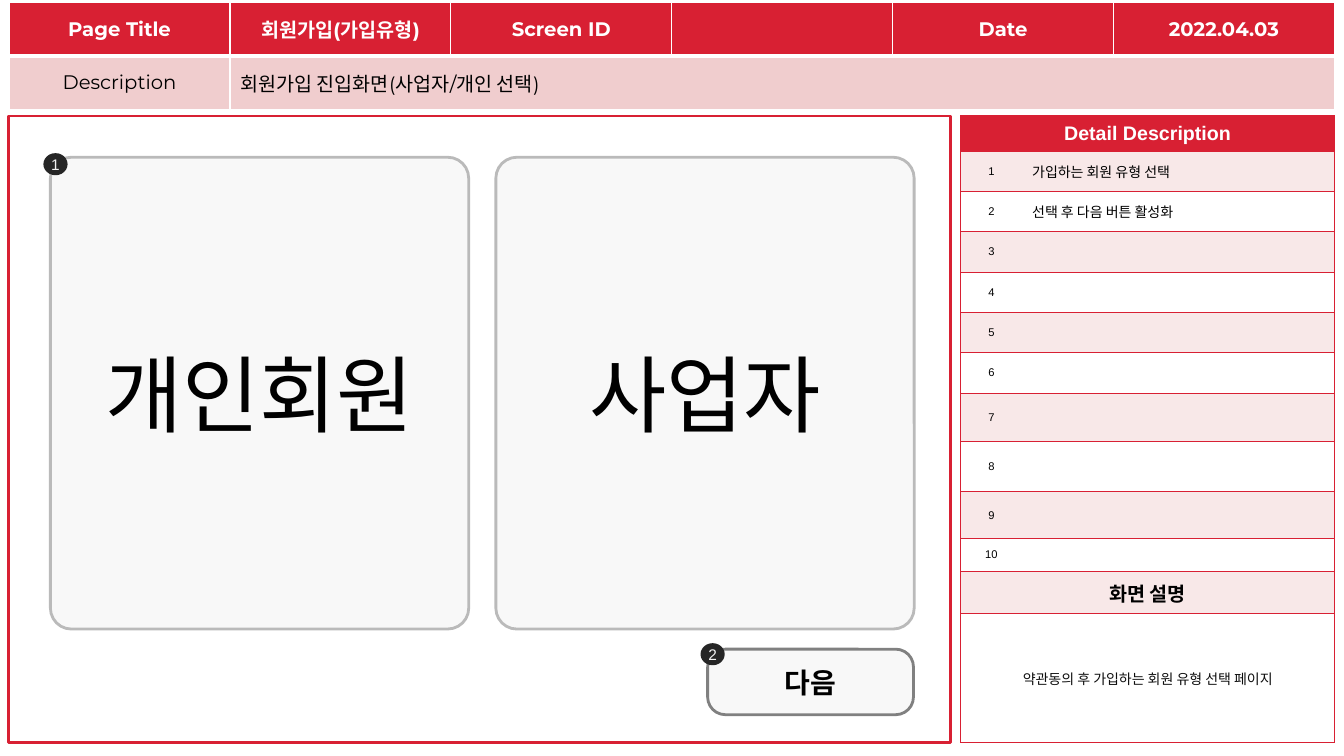
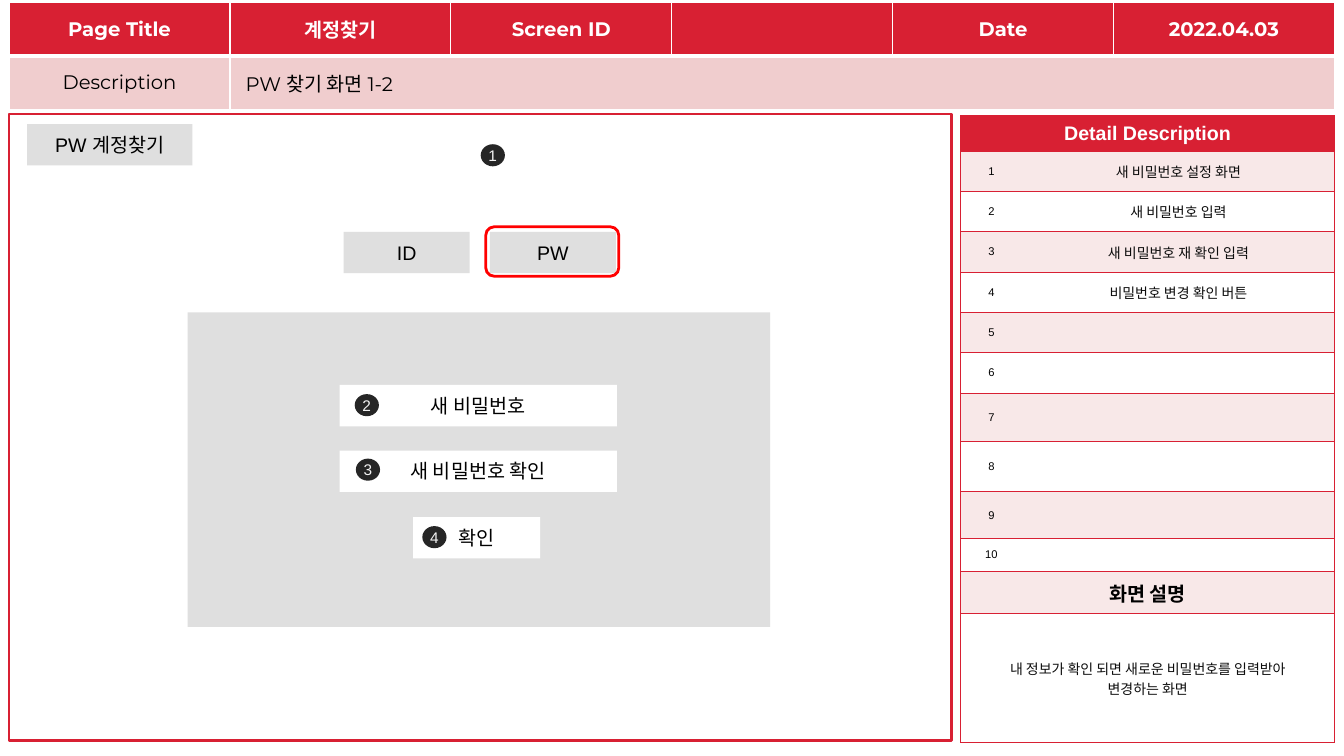
from lxml import etree
from pptx import Presentation
from pptx.dml.color import RGBColor
from pptx.enum import shapes, text
from pptx.oxml import ns
from pptx.util import Pt

RED, PINK, PALE_PINK = "D82033", "F0CDCE", "F8E8E8"
WHITE, BLACK, INK = "FFFFFF", "000000", "0D0D0D"
CARD, CARD_EDGE, BUTTON_EDGE = "F8F8F8", "BABABA", "808080"
GREY, BADGE, BADGE_TEXT, HIGHLIGHT = "DFDFDF", "262626", "F2F2F2", "FF0000"
CENTER, LEFT = text.PP_ALIGN.CENTER, text.PP_ALIGN.LEFT
RECT = shapes.MSO_SHAPE.RECTANGLE
ROUND = shapes.MSO_SHAPE.ROUNDED_RECTANGLE
OVAL = shapes.MSO_SHAPE.OVAL
rgb = RGBColor.from_string


def write(frame, content, size, color, bold=False, font="Arial", align=CENTER):
    frame.text = content
    for paragraph in frame.paragraphs:
        paragraph.alignment = align
        for run in paragraph.runs:
            run.font.size = Pt(size)
            run.font.name = font
            run.font.bold = bold
            run.font.color.rgb = rgb(color)


def style_cell(cell, fill, edge, widths):
    """Fill a cell and draw its left, right, top and bottom edges; width 0 draws none."""
    properties = cell._tc.get_or_add_tcPr()
    for side, width in zip("LRTB", widths):
        line = etree.SubElement(properties, ns.qn(f"a:ln{side}"), w=str(Pt(width)))
        if width:
            paint = etree.SubElement(line, ns.qn("a:solidFill"))
            etree.SubElement(paint, ns.qn("a:srgbClr"), val=edge)
        else:
            etree.SubElement(line, ns.qn("a:noFill"))
    cell.fill.solid()
    cell.fill.fore_color.rgb = rgb(fill)
    cell.vertical_anchor = text.MSO_ANCHOR.MIDDLE
    cell.margin_top = cell.margin_bottom = 0


# Boxes: preset, left, top, width, height, corner, fill, edge, text, size, bold
# Badges: left, top, numbered in order
screens = [
    {
        "title": "회원가입(가입유형)",
        "description": "회원가입 진입화면(사업자/개인 선택)",
        "indent": 7.2,
        "details": ["가입하는 회원 유형 선택", "선택 후 다음 버튼 활성화"],
        "detail_align": LEFT,
        "detail_color": BLACK,
        "summary": "약관동의 후 가입하는 회원 유형 선택 페이지",
        "boxes": [
            (RECT, 5.8, 82.8, 673.2, 447.8, None, WHITE, RED, "", 14, False),
            (ROUND, 36, 112.3, 298.8, 337, 0.05, CARD, CARD_EDGE, "개인회원", 60, False),
            (ROUND, 354.2, 112.3, 298.8, 337, 0.05, CARD, CARD_EDGE, "사업자", 60, False),
            (ROUND, 505.5, 463.7, 147, 46.8, 0.27, CARD, BUTTON_EDGE, "다음", 20, True),
        ],
        "badges": [(31, 109.4), (500.4, 459.4)],
    },
    {
        "title": "계정찾기",
        "description": "PW 찾기 화면 1-2",
        "indent": 11.2,
        "details": ["새 비밀번호 설정 화면", "새 비밀번호 입력", "새 비밀번호 재 확인 입력", "비밀번호 변경 확인 버튼"],
        "detail_align": CENTER,
        "detail_color": INK,
        "summary": "내 정보가 확인 되면 새로운 비밀번호를 입력받아\n변경하는 화면",
        "boxes": [
            (RECT, 6.5, 81.4, 673.2, 447.8, None, WHITE, RED, "", 14, False),
            (RECT, 19.4, 88.6, 118, 29.5, None, GREY, None, "PW 계정찾기", 14, False),
            (RECT, 245.5, 165.6, 90, 29.5, None, GREY, None, "ID", 14, False),
            (RECT, 350, 165.6, 90, 29.5, None, GREY, None, "PW", 14, False),
            (ROUND, 347, 162, 95, 35.3, 0.17, None, HIGHLIGHT, "", 14, False),
            (RECT, 134, 223.2, 416.2, 224.6, None, GREY, None, "", 14, False),
            (RECT, 242.6, 275, 198, 29.5, None, WHITE, None, "새 비밀번호", 14, False),
            (RECT, 242.6, 321.8, 198, 29.5, None, WHITE, None, "새 비밀번호 확인", 14, False),
            (RECT, 295.2, 369.4, 90.7, 29.5, None, WHITE, None, "확인", 14, False),
        ],
        "badges": [(343.4, 103), (253.4, 281.5), (254.2, 327.6), (301.7, 375.8)],
    },
]
detail_heights = [25.2] + [28.8] * 6 + [34.56, 36, 33.12, 23.76, 30.24, 92.16]

prs = Presentation()
prs.slide_width, prs.slide_height = Pt(960), Pt(540)

for screen in screens:
    slide = prs.slides.add_slide(prs.slide_layouts[6])

    header = slide.shapes.add_table(2, 6, Pt(6.5), Pt(1.8), Pt(946.8), Pt(76.4)).table
    header.first_row = header.horz_banding = False
    for row in header.rows:
        row.height = Pt(38.2)
    for column in header.columns:
        column.width = Pt(157.8)
    header.cell(1, 1).merge(header.cell(1, 5))
    titles = ["Page Title", screen["title"], "Screen ID", "", "Date", "2022.04.03"]
    for index, title in enumerate(titles):
        style_cell(header.cell(0, index), RED, WHITE, (1, 1, 1, 3))
        style_cell(header.cell(1, index), PINK, WHITE, (1, 1, 3, 1))
        write(header.cell(0, index).text_frame, title, 14, WHITE, True, "Montserrat")
    write(header.cell(1, 0).text_frame, "Description", 14, BLACK, font="Montserrat")
    description = header.cell(1, 1)
    description.margin_left = Pt(screen["indent"])
    write(description.text_frame, screen["description"], 14, BLACK, font="Montserrat", align=LEFT)

    detail = slide.shapes.add_table(13, 2, Pt(686.2), Pt(82.8), Pt(267.1), Pt(447.84)).table
    detail.first_row = detail.horz_banding = False
    detail.columns[0].width, detail.columns[1].width = Pt(43.9), Pt(223.2)
    for index, height in enumerate(detail_heights):
        detail.rows[index].height = Pt(height)
        number_cell, note_cell = detail.cell(index, 0), detail.cell(index, 1)
        numbered = 1 <= index <= 10
        fill = RED if index == 0 else PALE_PINK if index % 2 else WHITE
        style_cell(number_cell, fill, RED, (1, 0 if numbered else 1, 1, 1))
        style_cell(note_cell, fill, RED, (0 if numbered else 1, 1, 1, 1))
        if numbered:
            write(number_cell.text_frame, str(index), 8, BLACK)
        else:
            number_cell.merge(note_cell)
    for index, note in enumerate(screen["details"], 1):
        write(detail.cell(index, 1).text_frame, note, 10, screen["detail_color"],
              align=screen["detail_align"])
    write(detail.cell(0, 0).text_frame, "Detail Description", 14, WHITE, True)
    write(detail.cell(11, 0).text_frame, "화면 설명", 14, BLACK, True)
    write(detail.cell(12, 0).text_frame, screen["summary"], 10, INK)

    badges = [(OVAL, left, top, 17.3, 15.8, None, BADGE, None, str(number), 11, False)
              for number, (left, top) in enumerate(screen["badges"], 1)]
    for preset, left, top, width, height, corner, fill, edge, label, size, bold in screen["boxes"] + badges:
        box = slide.shapes.add_shape(preset, Pt(left), Pt(top), Pt(width), Pt(height))
        box.shadow.inherit = False
        if corner:
            box.adjustments[0] = corner
        if fill:
            box.fill.solid()
            box.fill.fore_color.rgb = rgb(fill)
        else:
            box.fill.background()
        if edge:
            box.line.color.rgb = rgb(edge)
            box.line.width = Pt(2)
        else:
            box.line.fill.background()
        if label:
            frame = box.text_frame
            frame.margin_left = frame.margin_right = frame.margin_top = frame.margin_bottom = 0
            frame.word_wrap = preset != OVAL
            frame.vertical_anchor = text.MSO_ANCHOR.MIDDLE
            write(frame, label, size, BADGE_TEXT if preset == OVAL else BLACK, bold)

prs.save("out.pptx")
